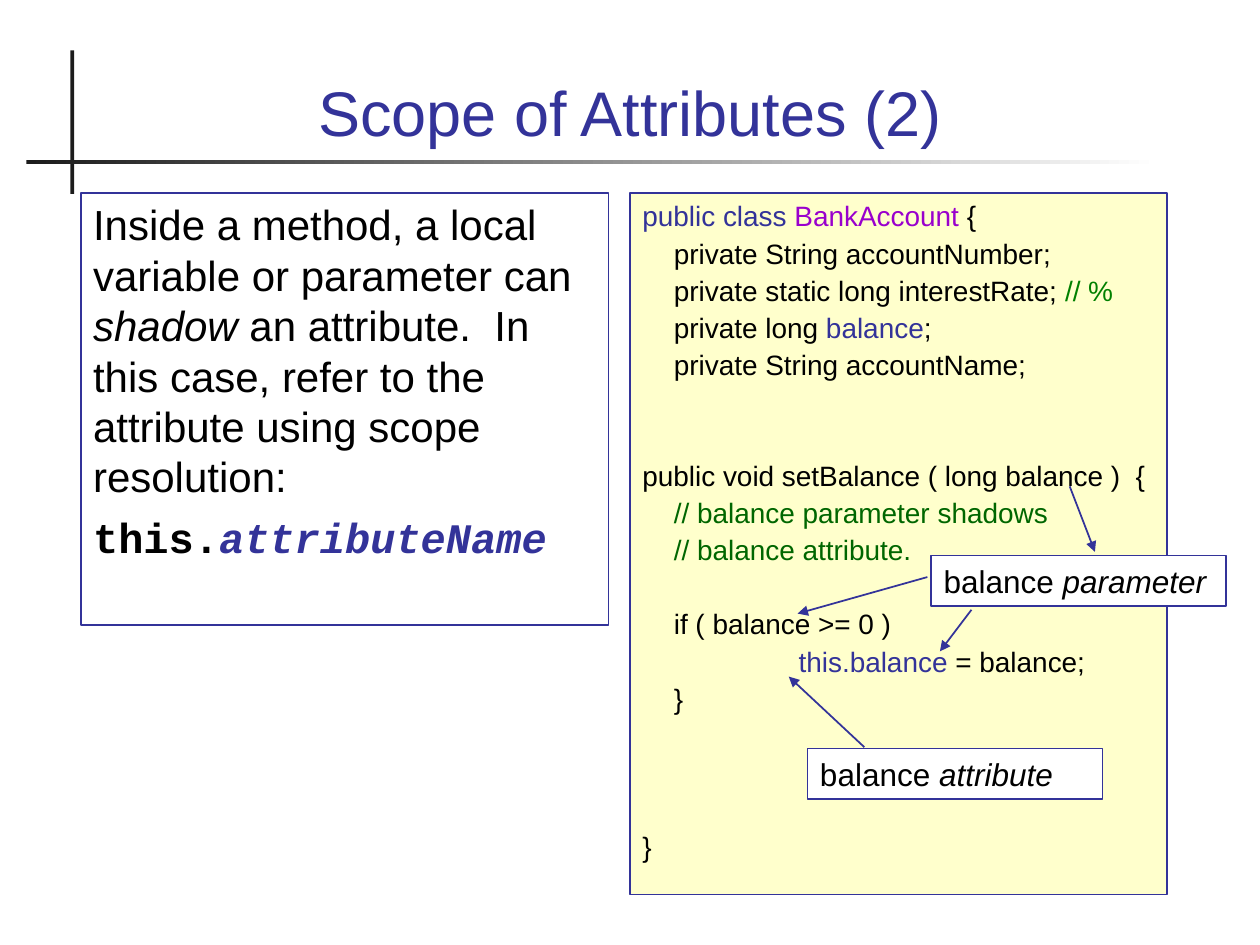
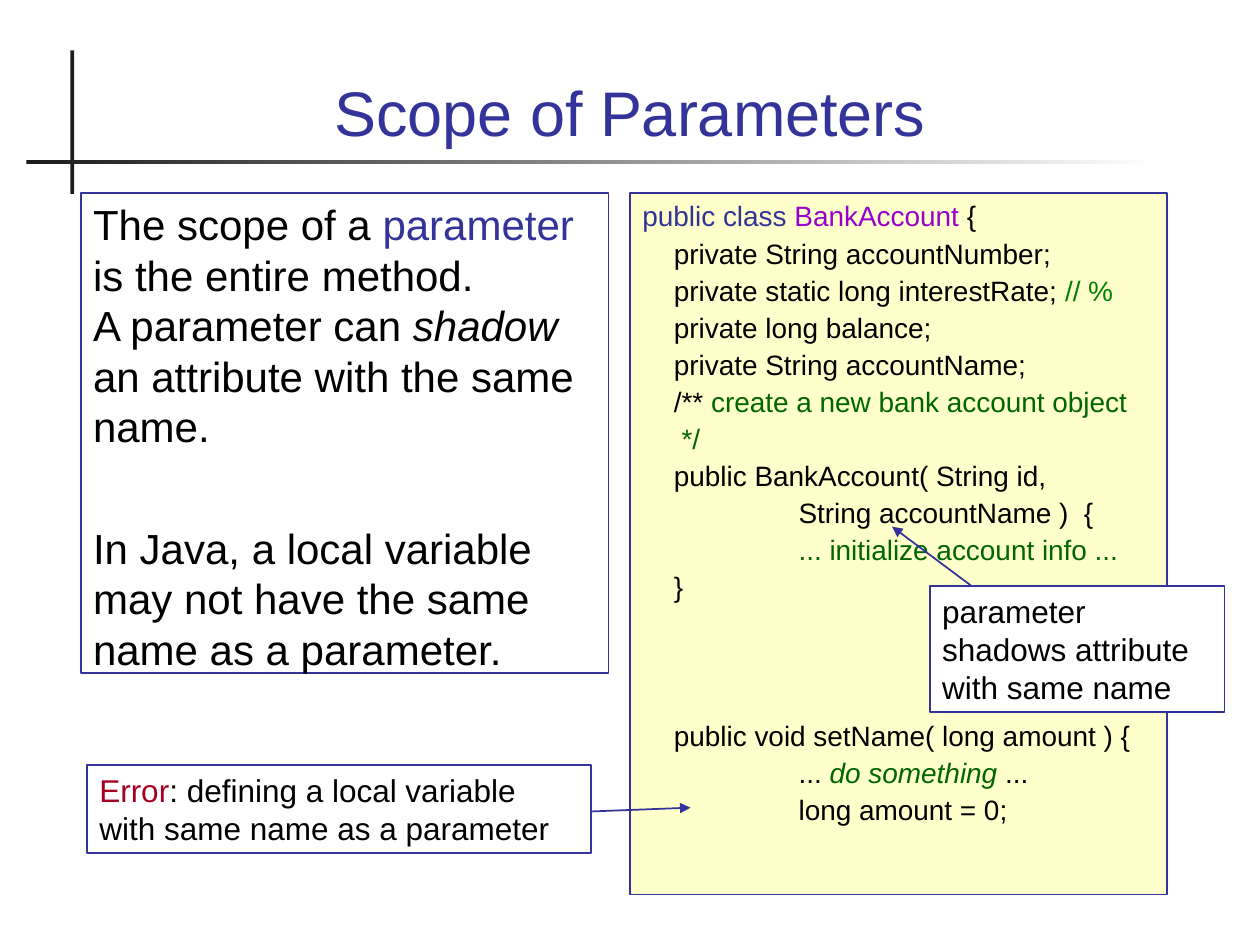
import dataclasses

import pptx
import pptx.dml.color
import pptx.enum.shapes
import pptx.enum.text
import pptx.oxml
import pptx.util
from pptx.util import Inches


@dataclasses.dataclass(frozen=True)
class Theme:
    ink: str = "000000"
    accent: str = "333399"
    bar: str = "1C1C1C"
    paper: str = "FFFFFF"
    code_paper: str = "FFFFCC"
    class_name: str = "9900CC"
    comment: str = "006600"
    unit_comment: str = "008000"
    error: str = "A50021"
    font: str = "Arial"
    mono: str = "Courier New"
    title_size: int = 36
    body_size: int = 24
    callout_size: int = 18
    code_size: int = 16
    line_height: float = 1.2
    line_width: int = 1
    body_gap: int = 6
    code_gap: int = 2


THEME = Theme()
CODE_INDENTS = (0, 0.25, 1.24)


@dataclasses.dataclass(frozen=True)
class Span:
    text: str
    color: str = THEME.ink
    italic: bool = False
    bold: bool = False
    font: str = THEME.font


@dataclasses.dataclass(frozen=True)
class Line:
    spans: tuple[Span, ...]
    level: int = 0
    skipped: int = 0  # empty lines left open above


@dataclasses.dataclass(frozen=True)
class Box:
    left: float
    top: float
    width: float
    height: float
    lines: tuple[Line, ...]
    size: int
    fill: str | None = THEME.paper
    gap: float = 0


@dataclasses.dataclass(frozen=True)
class Arrow:
    start: tuple[float, float]
    end: tuple[float, float]


@dataclasses.dataclass(frozen=True)
class ScopeSlide:
    title: str
    boxes: tuple[Box, ...]
    arrows: tuple[Arrow, ...]


# Text builders
def line(*parts: str | Span, level: int = 0, skipped: int = 0) -> Line:
    spans = tuple(Span(part) if isinstance(part, str) else part for part in parts)
    return Line(spans, level, skipped)


def comment(text: str, italic: bool = False) -> Span:
    return Span(text, THEME.comment, italic)


def accent(text: str) -> Span:
    return Span(text, THEME.accent)


def italic(text: str) -> Span:
    return Span(text, italic=True)


def explanation(height: float, *lines: Line) -> Box:
    return Box(0.64, 1.53, 4.19, height, lines, THEME.body_size, None, THEME.body_gap)


def callout(left: float, top: float, width: float, height: float, *parts: str | Span) -> Box:
    return Box(left, top, width, height, (line(*parts),), THEME.callout_size)


def code_panel(balance_line: Line, *method_lines: Line) -> Box:
    class_lines = (
        line(accent("public class "), Span("BankAccount", THEME.class_name), " {"),
        line("private String accountNumber;", level=1),
        line("private static long interestRate; ", Span("// %", THEME.unit_comment), level=1),
        balance_line,
        line("private String accountName;", level=1),
    )
    return Box(5, 1.53, 4.26, 5.57, class_lines + method_lines,
               THEME.code_size, THEME.code_paper, THEME.code_gap)


# Drawing
def rgb(color: str) -> pptx.dml.color.RGBColor:
    return pptx.dml.color.RGBColor.from_string(color)


def add_rectangle(slide, left: float, top: float, width: float, height: float):
    shape = slide.shapes.add_shape(
        pptx.enum.shapes.MSO_SHAPE.RECTANGLE,
        Inches(left), Inches(top), Inches(width), Inches(height))
    shape.shadow.inherit = False
    return shape


def write_line(paragraph, content: Line, size: int) -> None:
    paragraph.line_spacing = pptx.util.Pt(size * THEME.line_height)
    for span in content.spans:
        if span.text == "\n":
            paragraph.add_line_break()
            continue
        run = paragraph.add_run()
        run.text = span.text
        run.font.name = span.font
        run.font.size = pptx.util.Pt(size)
        run.font.bold = span.bold
        run.font.italic = span.italic
        run.font.color.rgb = rgb(span.color)


def draw_frame(slide) -> None:
    vertical = add_rectangle(slide, 0.56, 0.4, 0.03, 1.14)
    vertical.fill.solid()
    vertical.fill.fore_color.rgb = rgb(THEME.bar)
    vertical.line.fill.background()

    horizontal = add_rectangle(slide, 0.21, 1.27, 8.99, 0.03)
    horizontal.fill.gradient()
    horizontal.fill.gradient_angle = 0
    for stop, position, color in zip(
            horizontal.fill.gradient_stops, (0, 1), (THEME.bar, THEME.paper)):
        stop.position = position
        stop.color.rgb = rgb(color)
    horizontal.line.fill.background()


def draw_title(slide, text: str) -> None:
    title = slide.shapes.title
    title.left, title.top = Inches(0.67), Inches(0.28)
    title.width, title.height = Inches(8.66), Inches(0.95)
    frame = title.text_frame
    frame.auto_size = pptx.enum.text.MSO_AUTO_SIZE.NONE
    frame.vertical_anchor = pptx.enum.text.MSO_ANCHOR.BOTTOM
    paragraph = frame.paragraphs[0]
    paragraph.alignment = pptx.enum.text.PP_ALIGN.CENTER
    write_line(paragraph, line(accent(text)), THEME.title_size)


def draw_box(slide, box: Box) -> None:
    shape = add_rectangle(slide, box.left, box.top, box.width, box.height)
    if box.fill:
        shape.fill.solid()
        shape.fill.fore_color.rgb = rgb(box.fill)
    else:
        shape.fill.background()
    shape.line.color.rgb = rgb(THEME.accent)
    shape.line.width = pptx.util.Pt(THEME.line_width)
    frame = shape.text_frame
    frame.word_wrap = True
    frame.vertical_anchor = pptx.enum.text.MSO_ANCHOR.TOP
    pitch = box.size * THEME.line_height + box.gap
    for index, content in enumerate(box.lines):
        paragraph = frame.add_paragraph() if index else frame.paragraphs[0]
        paragraph.alignment = pptx.enum.text.PP_ALIGN.LEFT
        if index:
            paragraph.space_before = pptx.util.Pt(box.gap + content.skipped * pitch)
        if content.level:
            properties = paragraph._p.get_or_add_pPr()
            properties.set("marL", str(Inches(CODE_INDENTS[content.level])))
            properties.set("indent", "0")
        write_line(paragraph, content, box.size)


def draw_arrow(slide, arrow: Arrow) -> None:
    connector = slide.shapes.add_connector(
        pptx.enum.shapes.MSO_CONNECTOR.STRAIGHT,
        *(Inches(value) for value in arrow.start + arrow.end))
    connector.line.color.rgb = rgb(THEME.accent)
    connector.line.width = pptx.util.Pt(THEME.line_width)
    outline = connector.line._get_or_add_ln()
    outline.append(pptx.oxml.parse_xml(
        '<a:tailEnd xmlns:a="http://schemas.openxmlformats.org/drawingml/2006/main" type="triangle"/>'))
    connector._element.spPr.append(pptx.oxml.parse_xml(
        '<a:effectLst xmlns:a="http://schemas.openxmlformats.org/drawingml/2006/main"/>'))


def draw_slide(presentation, content: ScopeSlide) -> None:
    slide = presentation.slides.add_slide(presentation.slide_layouts.get_by_name("Title Only"))
    draw_frame(slide)
    draw_title(slide, content.title)
    for box in content.boxes:
        draw_box(slide, box)
    for arrow in content.arrows:
        draw_arrow(slide, arrow)


# Slide content
ATTRIBUTES = ScopeSlide(
    "Scope of Attributes (2)",
    (
        code_panel(
            line("private long ", accent("balance"), ";", level=1),
            line("public void setBalance ( long balance )  {", skipped=2),
            line(comment("// balance parameter shadows"), level=1),
            line(comment("// balance attribute."), level=1),
            line("if ( balance >= 0 )", level=1, skipped=1),
            line(accent("this.balance"), " = balance;", level=2),
            line("}", level=1),
            line("}", skipped=3),
        ),
        explanation(
            3.43,
            line("Inside a method, a local variable or parameter can ", italic("shadow"),
                 " an attribute.  In this case, refer to the attribute using scope resolution:"),
            line(Span("this.", bold=True, font=THEME.mono),
                 Span("attributeName", THEME.accent, True, True, THEME.mono)),
        ),
        callout(7.39, 4.41, 2.34, 0.4, "balance ", italic("parameter")),
        callout(6.41, 5.94, 2.34, 0.4, "balance ", italic("attribute")),
    ),
    (
        Arrow((7.71, 4.84), (7.46, 5.17)),
        Arrow((7.36, 4.58), (6.33, 4.87)),
        Arrow((6.86, 5.93), (6.26, 5.37)),
        Arrow((8.49, 3.86), (8.69, 4.38)),
    ),
)

PARAMETERS = ScopeSlide(
    "Scope of Parameters",
    (
        code_panel(
            line("private long balance;", level=1),
            line("/** ", comment("create a new bank account object"), level=1),
            line(comment(" */"), level=1),
            line("public BankAccount( String id,", level=1),
            line("String accountName )  {", level=2),
            line(comment("... initialize account info ..."), level=2),
            line("}", level=1),
            line("public void setName( long amount ) {", level=1, skipped=3),
            line("... ", comment("do something", italic=True), " ...", level=2),
            line("long amount = 0;", level=2),
        ),
        explanation(
            3.81,
            line("The scope of a ", accent("parameter"), " is the entire method.", "\n",
                 "A parameter can ", italic("shadow"), " an attribute with the same name."),
            line("In Java, a local variable may not have the same name as a parameter.", skipped=1),
        ),
        callout(7.38, 4.65, 2.34, 1, "parameter shadows attribute with same name"),
        callout(0.69, 6.07, 4, 0.7, Span("Error", THEME.error),
                ": defining a local variable with same name as a parameter"),
    ),
    (
        Arrow((7.71, 4.65), (7.08, 4.18)),
        Arrow((4.7, 6.44), (5.48, 6.41)),
    ),
)


def main() -> None:
    presentation = pptx.Presentation()
    presentation.slide_width, presentation.slide_height = Inches(10), Inches(7.5)
    for content in (ATTRIBUTES, PARAMETERS):
        draw_slide(presentation, content)
    presentation.save("out.pptx")


if __name__ == "__main__":
    main()
